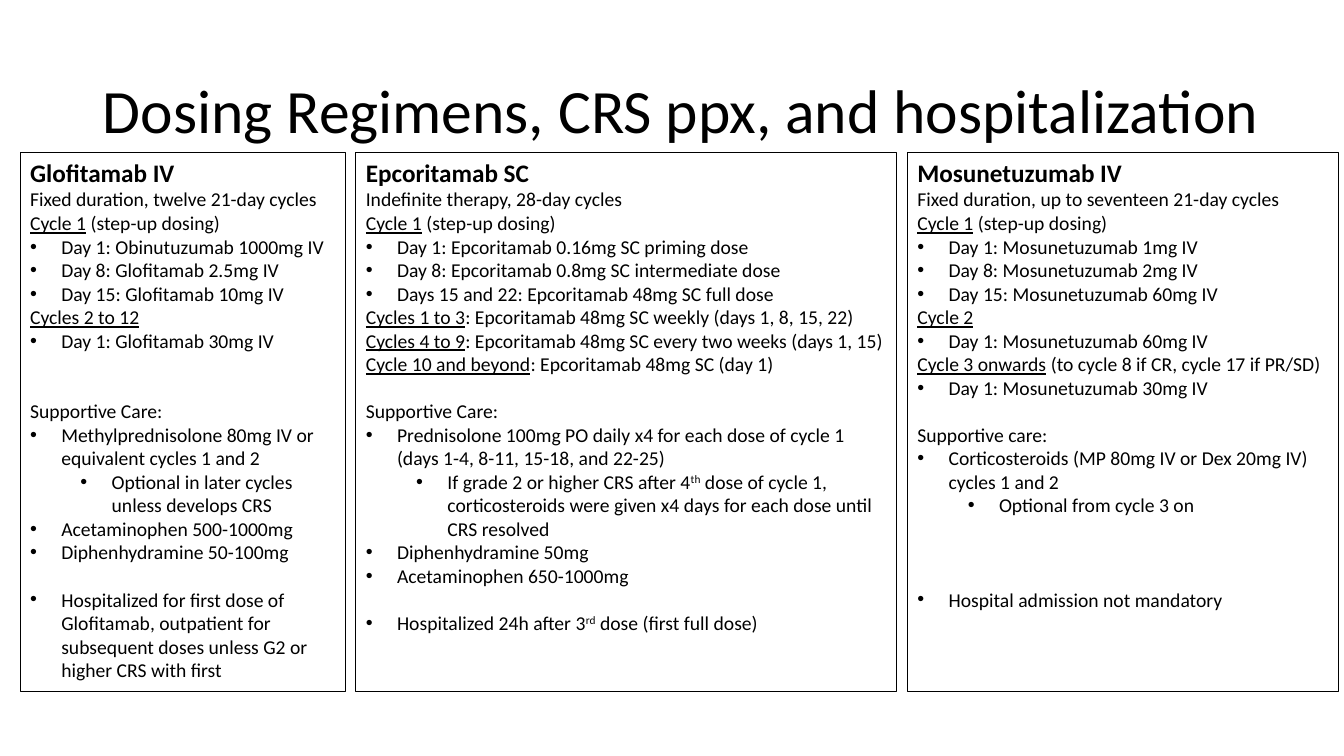
from dataclasses import dataclass

from lxml.etree import SubElement
from pptx import Presentation
from pptx.dml.color import RGBColor
from pptx.enum.shapes import MSO_SHAPE
from pptx.enum.text import MSO_ANCHOR, MSO_AUTO_SIZE, PP_ALIGN
from pptx.oxml.ns import qn
from pptx.util import Inches, Pt

COLORS = {"ink": "000000"}
FONT = "Calibri"
INK = RGBColor.from_string(COLORS["ink"])
LINE_HEIGHT = 16.8
PANEL_TOP, PANEL_HEIGHT = 1.51, 5.35
HANGING = 0.31
LEVEL_INDENT = 0.5


@dataclass
class Line:
    """A paragraph; ^marks^ raise text, gap counts the empty lines above it."""
    text: str = ""
    underlined: str = ""
    bullet_level: int | None = None
    gap: int = 0


def bullet(text, level=0, gap=0):
    return Line(text, bullet_level=level, gap=gap)


REGIMENS = [
    ("Glofitamab IV", 0.2, 3.23, [
        Line("Fixed duration, twelve 21-day cycles"),
        Line(" (step-up dosing)", "Cycle 1"),
        bullet("Day 1: Obinutuzumab 1000mg IV"),
        bullet("Day 8: Glofitamab 2.5mg IV"),
        bullet("Day 15: Glofitamab 10mg IV"),
        Line(underlined="Cycles 2 to 12"),
        bullet("Day 1: Glofitamab 30mg IV"),
        Line("Supportive Care:", gap=2),
        bullet("Methylprednisolone 80mg IV or equivalent cycles 1 and 2"),
        bullet("Optional in later cycles unless develops CRS", level=1),
        bullet("Acetaminophen 500-1000mg"),
        bullet("Diphenhydramine 50-100mg"),
        bullet("Hospitalized for first dose of Glofitamab, outpatient for "
               "subsequent doses unless G2 or higher CRS with first", gap=1),
    ]),
    ("Epcoritamab SC", 3.53, 5.36, [
        Line("Indefinite therapy, 28-day cycles"),
        Line(" (step-up dosing)", "Cycle 1"),
        bullet("Day 1: Epcoritamab 0.16mg SC priming dose"),
        bullet("Day 8: Epcoritamab 0.8mg SC intermediate dose"),
        bullet("Days 15 and 22: Epcoritamab 48mg SC full dose"),
        Line(": Epcoritamab 48mg SC weekly (days 1, 8, 15, 22)", "Cycles 1 to 3"),
        Line(": Epcoritamab 48mg SC every two weeks (days 1, 15)", "Cycles 4 to 9"),
        Line(": Epcoritamab 48mg SC (day 1)", "Cycle 10 and beyond"),
        Line("Supportive Care:", gap=1),
        bullet("Prednisolone 100mg PO daily x4 for each dose of cycle 1 "
               "(days 1-4, 8-11, 15-18, and 22-25)"),
        bullet("If grade 2 or higher CRS after 4^th^ dose of cycle 1, corticosteroids "
               "were given x4 days for each dose until CRS resolved", level=1),
        bullet("Diphenhydramine 50mg"),
        bullet("Acetaminophen 650-1000mg"),
        bullet("Hospitalized 24h after 3^rd^ dose (first full dose)", gap=1),
    ]),
    ("Mosunetuzumab IV", 9, 4.28, [
        Line("Fixed duration, up to seventeen 21-day cycles"),
        Line(" (step-up dosing)", "Cycle 1"),
        bullet("Day 1: Mosunetuzumab 1mg IV"),
        bullet("Day 8: Mosunetuzumab 2mg IV"),
        bullet("Day 15: Mosunetuzumab 60mg IV"),
        Line(underlined="Cycle 2"),
        bullet("Day 1: Mosunetuzumab 60mg IV"),
        Line(" (to cycle 8 if CR, cycle 17 if PR/SD)", "Cycle 3 onwards"),
        bullet("Day 1: Mosunetuzumab 30mg IV"),
        Line("Supportive care:", gap=1),
        bullet("Corticosteroids (MP 80mg IV or Dex 20mg IV) cycles 1 and 2"),
        bullet("Optional from cycle 3 on", level=1),
        bullet("Hospital admission not mandatory", gap=3),
    ]),
]


def style(paragraph, size, bold=False):
    paragraph.alignment = PP_ALIGN.LEFT
    font = paragraph.font
    font.name, font.size, font.bold = FONT, Pt(size), bold
    font.color.rgb = INK


def add_bullet(paragraph, level):
    paragraph.level = level
    properties = paragraph._p.get_or_add_pPr()
    properties.set("marL", str(Inches(HANGING + LEVEL_INDENT * level)))
    properties.set("indent", str(Inches(-HANGING)))
    SubElement(properties, qn("a:buFont"), typeface="Arial")
    SubElement(properties, qn("a:buChar"), char="•")


def add_line(frame, line):
    paragraph = frame.add_paragraph()
    if line.gap:
        paragraph.space_before = Pt(line.gap * LINE_HEIGHT)
    if line.bullet_level is not None:
        add_bullet(paragraph, line.bullet_level)
    style(paragraph, 14)
    if line.underlined:
        lead = paragraph.add_run()
        lead.text = line.underlined
        lead.font.underline = True
    for index, piece in enumerate(line.text.split("^")):
        if piece:
            run = paragraph.add_run()
            run.text = piece
            if index % 2:
                run._r.get_or_add_rPr().set("baseline", "30000")


def add_regimen(slide, drug, left, width, lines):
    panel = slide.shapes.add_shape(
        MSO_SHAPE.RECTANGLE, Inches(left), Inches(PANEL_TOP),
        Inches(width), Inches(PANEL_HEIGHT))
    panel.shadow.inherit = False
    panel.fill.background()
    panel.line.color.rgb = INK
    panel.line.width = Pt(0.75)
    frame = panel.text_frame
    frame.word_wrap = True
    frame.vertical_anchor = MSO_ANCHOR.TOP
    heading = frame.paragraphs[0]
    heading.text = drug
    style(heading, 18, bold=True)
    for line in lines:
        add_line(frame, line)


def set_title(slide, text):
    title = slide.shapes.title
    title.left, title.top = Inches(0.92), Inches(0.4)
    title.width, title.height = Inches(11.8), Inches(1.45)
    frame = title.text_frame
    frame.text = text
    frame.word_wrap = True
    frame.auto_size = MSO_AUTO_SIZE.NONE
    frame.vertical_anchor = MSO_ANCHOR.MIDDLE
    paragraph = frame.paragraphs[0]
    paragraph.line_spacing = 0.9
    style(paragraph, 44)


def main():
    presentation = Presentation()
    presentation.slide_width = Inches(13.33)
    presentation.slide_height = Inches(7.5)
    slide = presentation.slides.add_slide(
        presentation.slide_layouts.get_by_name("Title Only"))
    set_title(slide, "Dosing Regimens, CRS ppx, and hospitalization")
    for regimen in REGIMENS:
        add_regimen(slide, *regimen)
    presentation.save("out.pptx")


if __name__ == "__main__":
    main()
